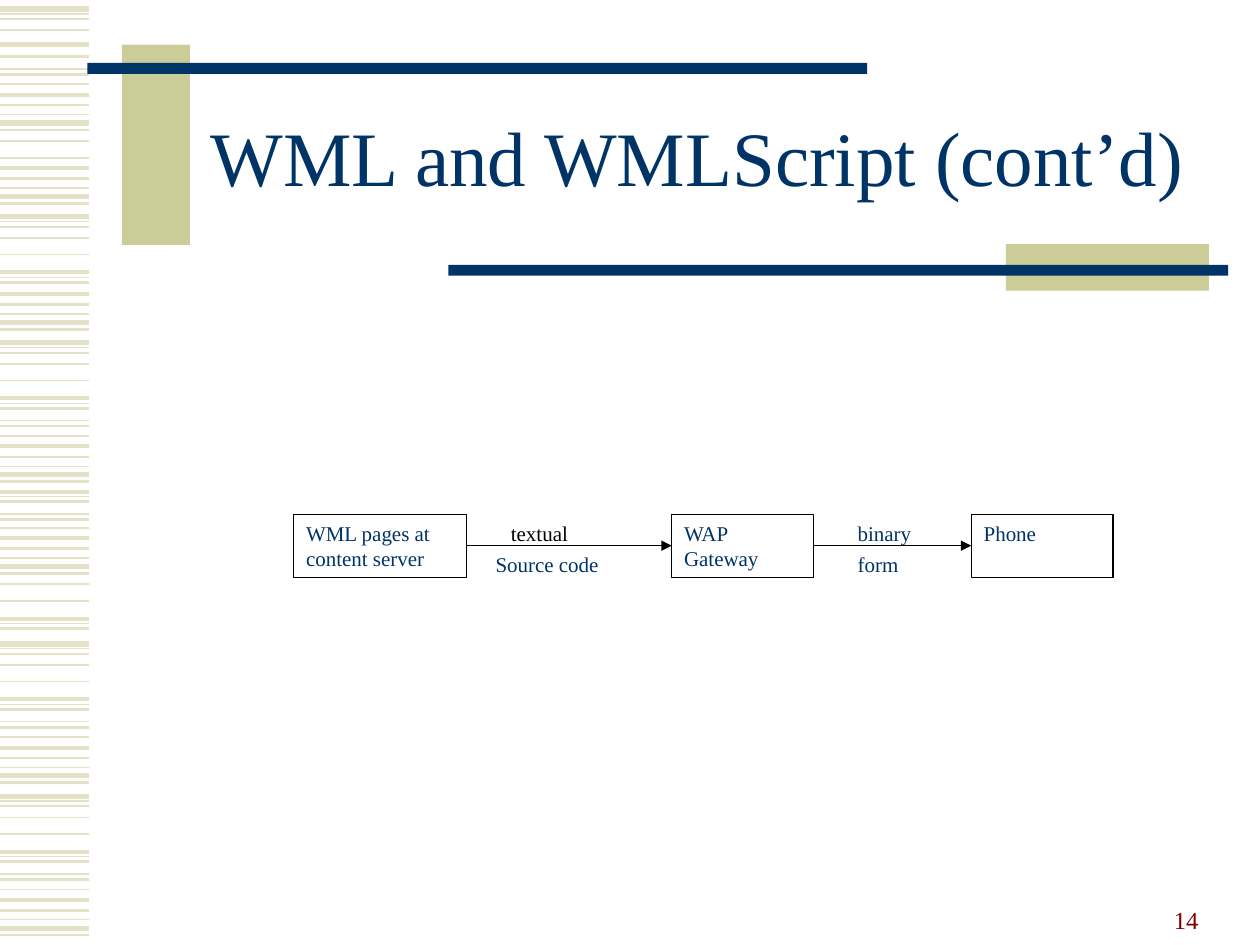
from dataclasses import dataclass
from typing import Optional

from lxml.etree import SubElement
from pptx import Presentation
from pptx.dml.color import RGBColor
from pptx.enum.shapes import MSO_CONNECTOR, MSO_SHAPE
from pptx.enum.text import MSO_ANCHOR, MSO_AUTO_SIZE, PP_ALIGN
from pptx.oxml.ns import qn
from pptx.util import Cm, Pt

COLORS = {
    "navy": "003366",
    "khaki": "CCCC99",
    "stripe": "E3E2C7",
    "black": "000000",
    "white": "FFFFFF",
    "maroon": "800000",
}
FONT = "Times New Roman"


@dataclass
class Band:
    top: float
    motif: tuple
    first: int = 0
    last: Optional[int] = None


@dataclass
class Box:
    left: float
    top: float
    width: float
    height: float
    fill: str
    edge: Optional[str] = None
    text: str = ""
    color: str = "navy"


SHORT = ((0, 1), (0.21, 2.25), (0.42, 1.5), (0.61, 0.75), (0.78, 3), (0.92, 1.5))
LONG = ((0, 3), (0.1, 0.75), (0.2, 1), (0.43, 1), (0.76, 1),
        (1.12, 2.25), (1.22, 0.75), (1.32, 1.5), (1.57, 0.75), (1.68, 1.5))
PAIR = ((0, 3), (0.25, 1.5))

BANDS = [
    Band(0.18, LONG, last=4),
    Band(0.89, PAIR),
    Band(-0.18, LONG, first=8),
    Band(1.7, SHORT),
    Band(2.08, LONG, first=4, last=5),
    Band(3.18, SHORT),
    Band(4.37, LONG, last=8),
    Band(5.72, SHORT, first=1),
    Band(6.91, LONG),
    Band(8.79, SHORT),
    Band(8.79, LONG, first=5),
    Band(10.64, SHORT),
    Band(11.35, LONG, first=3, last=8),
    Band(12.98, LONG),
    Band(14.86, SHORT),
    Band(16.05, LONG),
    Band(17.93, SHORT),
]

BARS = [
    Box(2.46, 0.9, 1.37, 4.04, "khaki"),
    Box(1.76, 1.27, 15.72, 0.22, "navy"),
    Box(20.28, 4.92, 4.09, 0.94, "khaki"),
    Box(9.04, 5.34, 15.72, 0.22, "navy"),
]

ROW, MID = 10.37, 11.0
NODES = [
    Box(5.92, ROW, 3.49, 1.27, "white", "black", "WML pages at\ncontent server"),
    Box(13.54, ROW, 2.86, 1.27, "white", "black", "WAP\nGateway"),
    Box(19.58, ROW, 2.86, 1.27, "white", "black", "Phone"),
]
LABELS = [
    Box(10.05, ROW, 2.86, 0.95, "white", "white", "textual", "black"),
    Box(9.74, MID, 3.18, 0.95, "white", "white", "Source code"),
    Box(17.04, ROW, 1.91, 0.95, "white", "white", "binary"),
    Box(17.04, MID, 1.59, 0.95, "white", "white", "form"),
]


def tint(name: str) -> RGBColor:
    return RGBColor.from_string(COLORS[name])


def write(shape, text: str, *, size: float = 12, color: str = "navy",
          align=PP_ALIGN.LEFT, anchor=MSO_ANCHOR.TOP, space: float = 1) -> None:
    frame = shape.text_frame
    frame.word_wrap = True
    frame.auto_size = MSO_AUTO_SIZE.NONE
    frame.vertical_anchor = anchor
    frame.text = text
    for para in frame.paragraphs:
        para.alignment = align
        para.line_spacing = space
        para.font.name = FONT
        para.font.size = Pt(size)
        para.font.color.rgb = tint(color)


def place(shape, left: float, top: float, width: float, height: float) -> None:
    shape.left, shape.top = Cm(left), Cm(top)
    shape.width, shape.height = Cm(width), Cm(height)


def draw_box(slide, box: Box) -> None:
    shape = slide.shapes.add_shape(
        MSO_SHAPE.RECTANGLE, Cm(box.left), Cm(box.top), Cm(box.width), Cm(box.height))
    shape.shadow.inherit = False
    shape.fill.solid()
    shape.fill.fore_color.rgb = tint(box.fill)
    if box.edge:
        shape.line.color.rgb = tint(box.edge)
        shape.line.width = Pt(0.75)
    else:
        shape.line.fill.background()
    if box.text:
        write(shape, box.text, color=box.color)


def draw_line(slide, start: float, end: float, level: float, color: str,
              weight: float = 0.75, arrow: bool = False) -> None:
    line = slide.shapes.add_connector(
        MSO_CONNECTOR.STRAIGHT, Cm(start), Cm(level), Cm(end), Cm(level))
    line.line.color.rgb = tint(color)
    line.line.width = Pt(weight)
    if arrow:
        SubElement(line.line._get_or_add_ln(), qn("a:tailEnd"), type="triangle")
    SubElement(line._element.spPr, qn("a:effectLst"))


def main() -> None:
    deck = Presentation()
    deck.slide_width, deck.slide_height = Cm(25.4), Cm(19.05)
    slide = deck.slides.add_slide(deck.slide_layouts[5])

    for band in BANDS:
        for step, weight in band.motif[band.first:band.last]:
            draw_line(slide, 0, 1.8, band.top + step, "stripe", weight)
    for bar in BARS:
        draw_box(slide, bar)

    title = slide.shapes.title
    place(title, 3.81, 1.7, 20.5, 3.18)
    write(title, "WML and WMLScript (cont’d)", size=44, align=PP_ALIGN.CENTER,
          anchor=MSO_ANCHOR.MIDDLE, space=0.85)

    for box in NODES + LABELS:
        draw_box(slide, box)
    for left, right in zip(NODES, NODES[1:]):
        draw_line(slide, left.left + left.width, right.left, MID, "black", arrow=True)

    number = slide.shapes.add_textbox(Cm(18.31), Cm(17.7), Cm(6.1), Cm(1.27))
    write(number, "14", size=14, color="maroon", align=PP_ALIGN.RIGHT,
          anchor=MSO_ANCHOR.BOTTOM)

    deck.save("out.pptx")


if __name__ == "__main__":
    main()
